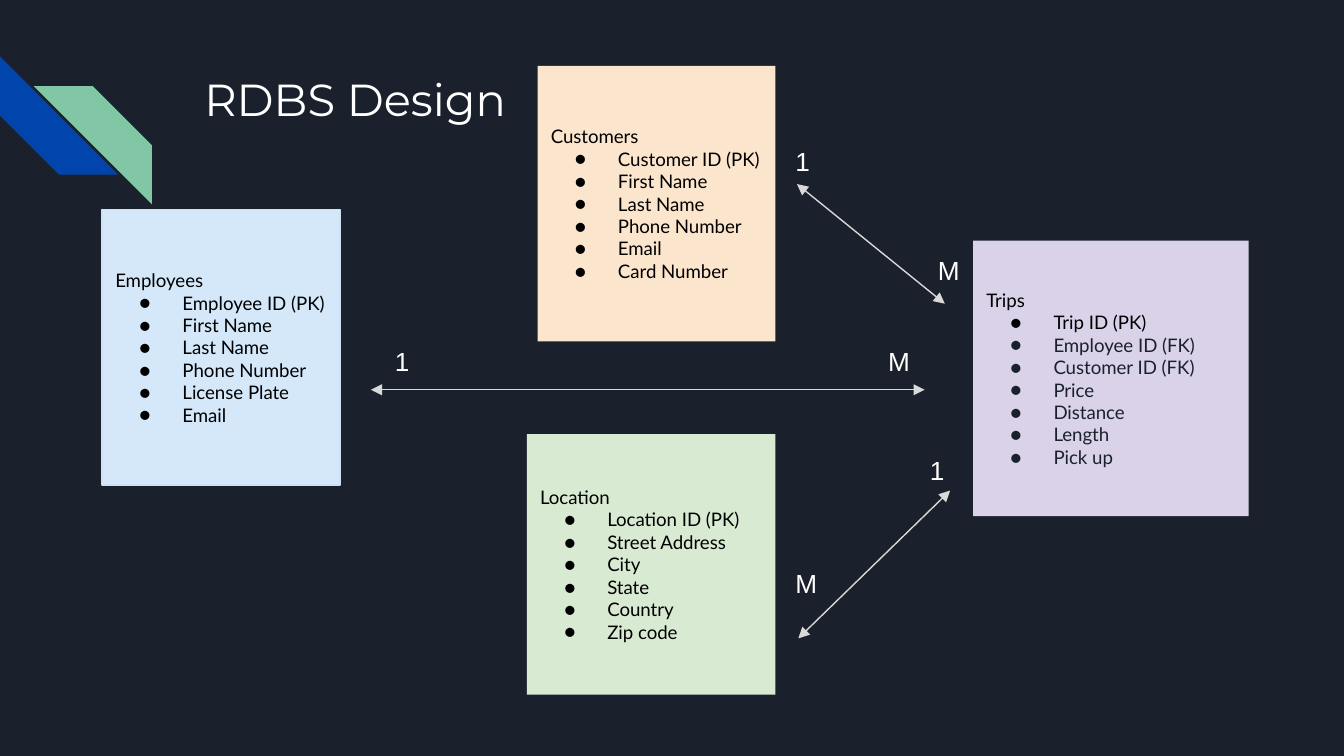
from dataclasses import dataclass

from lxml.etree import SubElement
from pptx import Presentation
from pptx.dml.color import RGBColor
from pptx.enum.shapes import MSO_CONNECTOR, MSO_SHAPE
from pptx.enum.text import MSO_ANCHOR, MSO_AUTO_SIZE, PP_ALIGN
from pptx.oxml.ns import qn
from pptx.util import Emu, Pt

PX = 9144  # one px is a hundredth of an inch


@dataclass(frozen=True)
class Theme:
    back: str = "1B212C"
    white: str = "FFFFFF"
    black: str = "000000"
    blue: str = "0145AC"
    green: str = "82C7A5"
    arrow: str = "D9D9D9"
    title: int = 24
    body: int = 10
    mark: int = 14
    line: float = 0.75


@dataclass(frozen=True)
class Card:
    name: str
    box: tuple[int, int, int, int]
    fill: str
    keys: list[str]
    edge: str = ""
    rest: str = ""  # colour of the fields after the first


@dataclass(frozen=True)
class Link:
    start: tuple[int, int]
    end: tuple[int, int]


@dataclass(frozen=True)
class Mark:
    text: str
    left: int
    top: int


THEME = Theme()

CARDS = [
    Card("Employees", (76, 156, 177, 205), "D4E8FA",
         ["Employee ID (PK)", "First Name", "Last Name", "Phone Number",
          "License Plate", "Email"], edge="CFE2F3"),
    Card("Customers", (400, 49, 177, 205), "FCE5CD",
         ["Customer ID (PK)", "First Name", "Last Name", "Phone Number",
          "Email", "Card Number"]),
    Card("Trips", (724, 179, 205, 205), "D9D2E9",
         ["Trip ID (PK)", "Employee ID (FK)", "Customer ID (FK)", "Price",
          "Distance", "Length", "Pick up"], rest=THEME.back),
    Card("Location", (392, 323, 185, 194), "D9EAD3",
         ["Location ID (PK)", "Street Address", "City", "State", "Country",
          "Zip code"]),
]

LINKS = [
    Link((593, 137), (703, 226)),
    Link((594, 475), (707, 365)),
    Link((276, 290), (688, 290)),
]

MARKS = [
    Mark("1", 582, 98), Mark("M", 688, 179),
    Mark("M", 582, 412), Mark("1", 682, 328),
    Mark("M", 651, 247), Mark("1", 284, 247),
]


def px(*nums: int) -> list[Emu]:
    return [Emu(num * PX) for num in nums]


def tint(hue: str) -> RGBColor:
    return RGBColor.from_string(hue)


def set_frame(frame, anchor=MSO_ANCHOR.TOP) -> None:
    frame.word_wrap = True
    frame.auto_size = MSO_AUTO_SIZE.NONE
    frame.vertical_anchor = anchor
    (frame.margin_left, frame.margin_top,
     frame.margin_right, frame.margin_bottom) = px(10, 10, 10, 10)


def add_run(para, text: str, size: int, face: str, hue: str) -> None:
    para.alignment = PP_ALIGN.LEFT
    run = para.add_run()
    run.text = text
    run.font.size = Pt(size)
    run.font.name = face
    run.font.color.rgb = tint(hue)


def add_dot(para, hue: str) -> None:
    props = para._p.get_or_add_pPr()
    props.set("marL", str(50 * PX))
    props.set("indent", str(-32 * PX))
    SubElement(SubElement(props, qn("a:buClr")), qn("a:srgbClr"), val=hue)
    SubElement(props, qn("a:buFont"), typeface="Lato")
    SubElement(props, qn("a:buChar"), char="●")


def add_block(slide, kind, box: tuple[int, int, int, int], fill: str,
              edge: str = ""):
    shape = slide.shapes.add_shape(kind, *px(*box))
    shape.shadow.inherit = False
    shape.fill.solid()
    shape.fill.fore_color.rgb = tint(fill)
    if edge:
        shape.line.color.rgb = tint(edge)
        shape.line.width = Pt(THEME.line)
    else:
        shape.line.fill.background()
    return shape


def add_card(slide, card: Card) -> None:
    shape = add_block(slide, MSO_SHAPE.RECTANGLE, card.box, card.fill,
                      card.edge)
    frame = shape.text_frame
    set_frame(frame, MSO_ANCHOR.MIDDLE)
    add_run(frame.paragraphs[0], card.name, THEME.body, "Lato", THEME.black)
    for num, key in enumerate(card.keys):
        hue = card.rest if num and card.rest else THEME.black
        para = frame.add_paragraph()
        add_run(para, key, THEME.body, "Lato", hue)
        add_dot(para, hue)


def add_link(slide, link: Link) -> None:
    line = slide.shapes.add_connector(
        MSO_CONNECTOR.STRAIGHT, *px(*link.start, *link.end))
    line.line.color.rgb = tint(THEME.arrow)
    line.line.width = Pt(THEME.line)
    for end in ("a:headEnd", "a:tailEnd"):
        SubElement(line.line._get_or_add_ln(), qn(end), type="triangle",
                   w="med", len="med")
    SubElement(line._element.spPr, qn("a:effectLst"))


def add_mark(slide, mark: Mark) -> None:
    box = slide.shapes.add_textbox(*px(mark.left, mark.top, 36, 33))
    set_frame(box.text_frame)
    add_run(box.text_frame.paragraphs[0], mark.text, THEME.mark, "Arial",
            THEME.white)


def main() -> None:
    deck = Presentation()
    deck.slide_width = Emu(1000 * PX)
    deck.slide_height = Emu(deck.slide_width * 9 // 16)
    slide = deck.slides.add_slide(deck.slide_layouts[5])
    slide.background.fill.solid()
    slide.background.fill.fore_color.rgb = tint(THEME.back)

    # Corner stripes
    stripe = add_block(slide, MSO_SHAPE.DIAGONAL_STRIPE, (0, 42, 88, 88),
                       THEME.blue)
    stripe.rotation = 270
    stripe = add_block(slide, MSO_SHAPE.DIAGONAL_STRIPE, (25, 64, 88, 88),
                       THEME.green)
    stripe._element.spPr.get_or_add_xfrm().set("flipH", "1")

    # Title
    title = slide.shapes.title
    title.left, title.top, title.width, title.height = px(142, 43, 770, 100)
    set_frame(title.text_frame)
    add_run(title.text_frame.paragraphs[0], "RDBS Design", THEME.title,
            "Montserrat", THEME.white)

    # Cards, the links between them, and how many on each side
    for card in CARDS:
        add_card(slide, card)
    for link in LINKS:
        add_link(slide, link)
    for mark in MARKS:
        add_mark(slide, mark)

    deck.save("out.pptx")


if __name__ == "__main__":
    main()
